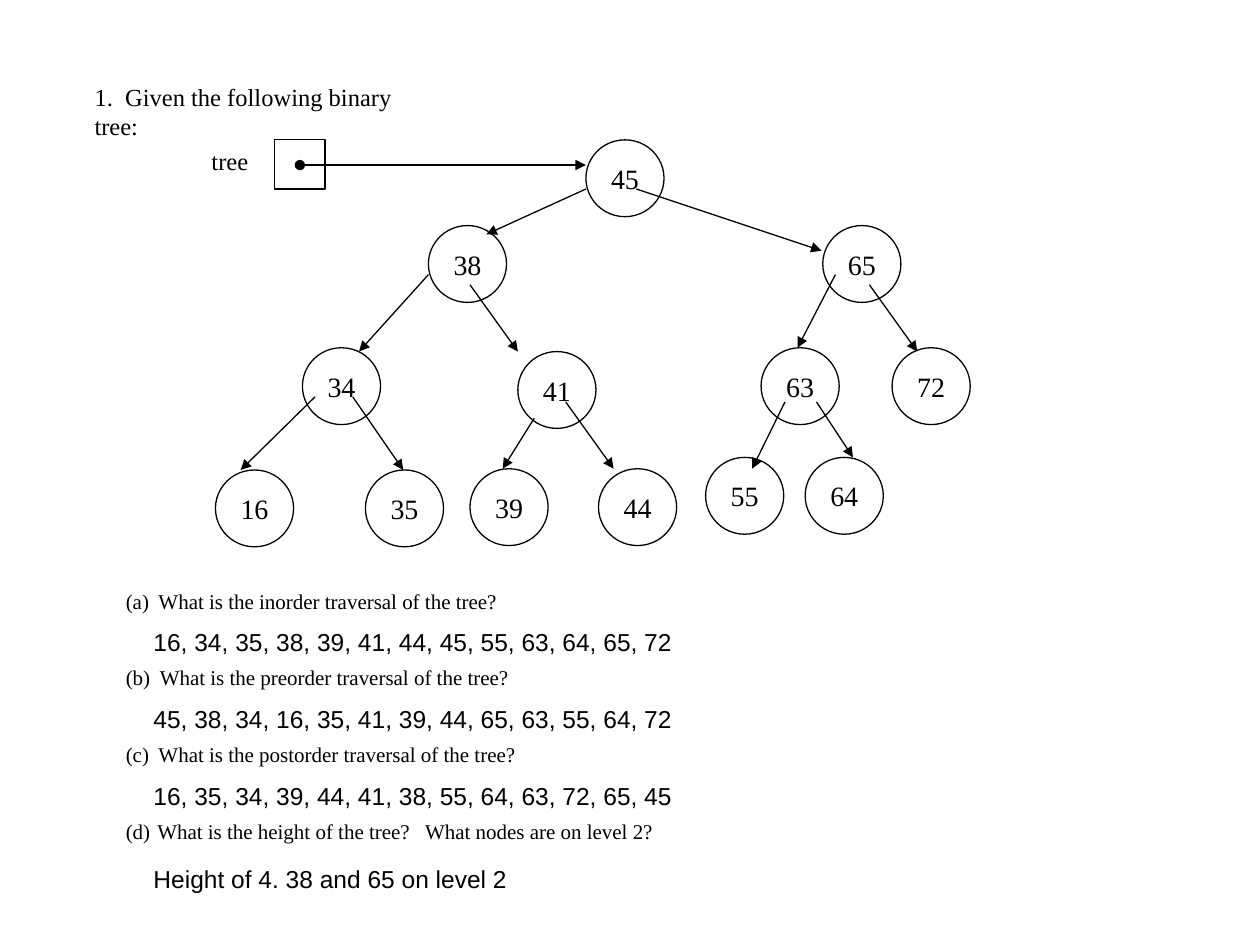
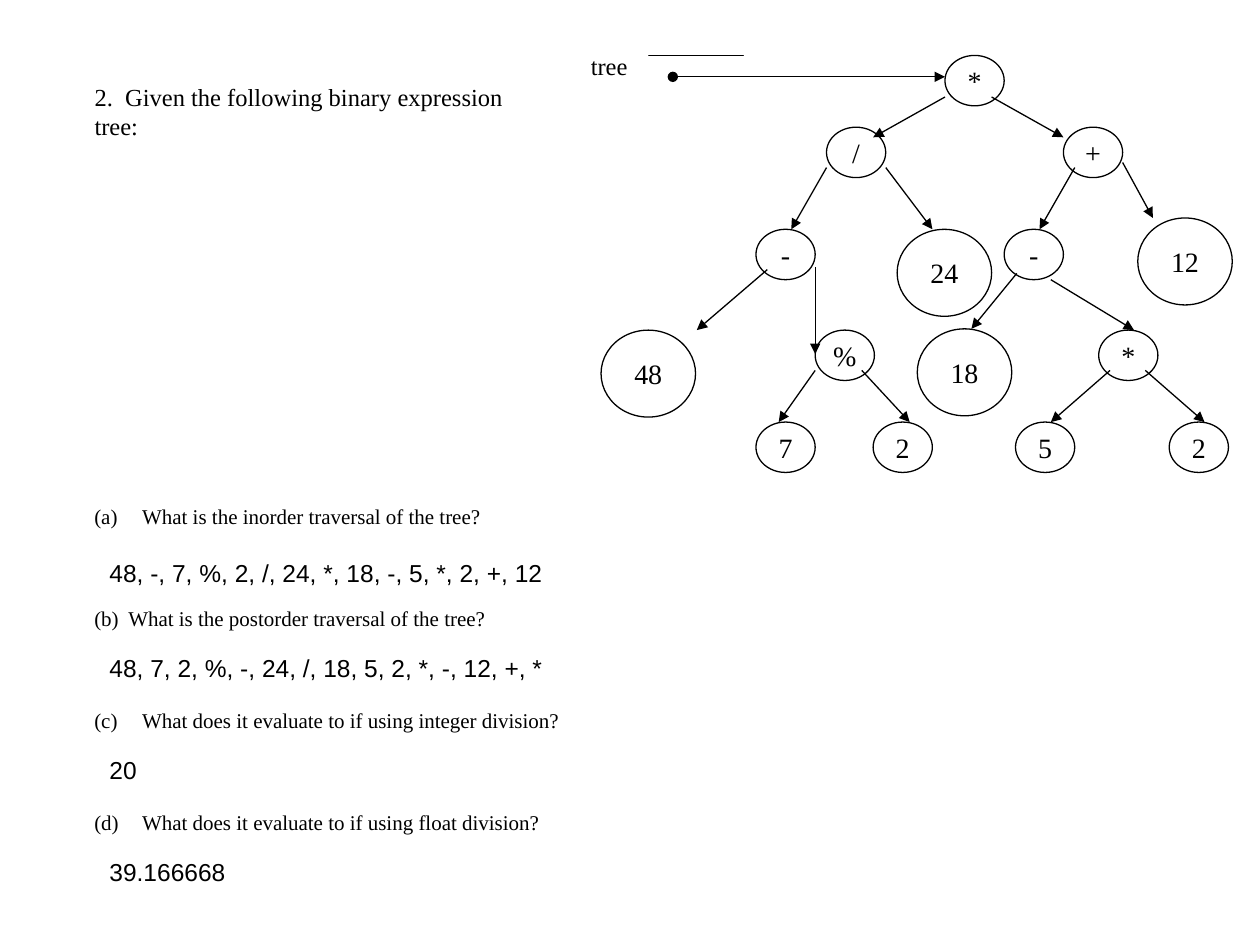
from lxml.etree import SubElement
from pptx import Presentation
from pptx.dml.color import RGBColor
from pptx.enum.shapes import MSO_CONNECTOR, MSO_SHAPE
from pptx.enum.text import MSO_ANCHOR, MSO_AUTO_SIZE, PP_ALIGN
from pptx.oxml.ns import qn
from pptx.util import Inches, Pt

BLACK = RGBColor(0, 0, 0)
SERIF = "Times New Roman"
SANS = "Arial"
WIDE, HIGH = Inches(10), Inches(7.5)
COLS, ROWS = 100, 75
PAD = 0.05

SEARCH = {
    "title": ("1.  Given the following binary tree:", 29.5),
    "tag": (15.8, 11.1),
    "box": (21.8, 11.1, 4, 3.9),
    "root": (23.8, 46.5, 13.1),
    "sizes": {2: (6.2, 6.1)},
    "nodes": [
        ("45", 46.5, 11.1),
        ("38", 34, 17.9), ("65", 65.3, 17.9),
        ("34", 24, 27.6), ("41", 41.1, 27.9), ("63", 60.4, 27.6), ("72", 70.8, 27.6),
        ("16", 17.1, 37.3), ("35", 29, 37.3), ("39", 37.3, 37.2), ("44", 47.5, 37.2),
        ("55", 56, 36.3), ("64", 63.9, 36.3),
    ],
    "edges": [
        (46.5, 15, 38.6, 18.6), (50.5, 15, 65.2, 19.9),
        (34, 21.8, 28.5, 27.9), (37.3, 22.6, 41.1, 27.9),
        (66.3, 21.8, 63.3, 27.6), (69, 22.6, 72.8, 27.9),
        (25, 31.5, 19.1, 37.3), (28, 31.5, 32, 37.3),
        (42.4, 33.2, 39.9, 37.2), (44.9, 31.9, 48.7, 37.2),
        (62.3, 31.9, 59.7, 37.2), (64.8, 31.9, 67.7, 36.3),
    ],
    "ask": (9, 46.2, 58.4, 29.4),
    "items": [
        ("What is the inorder traversal of the tree?", 0.26),
        ("What is the preorder traversal of the tree?", 0.27),
        ("What is the postorder traversal of the tree?", 0.26),
        ("What is the height of the tree?   What nodes are on level 2?", 0.25),
    ],
    "reply": (11.2, 84.7),
    "replies": [
        ("16, 34, 35, 38, 39, 41, 44, 45, 55, 63, 64, 65, 72", 48.8),
        ("45, 38, 34, 16, 35, 41, 39, 44, 65, 63, 55, 64, 72", 54.9),
        ("16, 35, 34, 39, 44, 41, 38, 55, 64, 63, 72, 65, 45", 61),
        ("Height of 4. 38 and 65 on level 2", 67.6),
    ],
}

MATH = {
    "title": ("2.  Given the following binary expression tree:", 38.3),
    "tag": (45.9, 3.6),
    "box": (51.5, 4.4, 7.5, 0),
    "root": (53.4, 75, 6.1),
    "sizes": {1: (4.7, 4), 2: (7.5, 6.9)},
    "nodes": [
        ("*", 75, 4.4),
        ("/", 65.6, 10.1), ("+", 84.4, 10.1),
        ("-", 60, 18.2), ("24", 71.2, 18.2), ("-", 79.7, 18.2), ("12", 90.3, 17.3),
        ("48", 47.7, 26.2), ("%", 64.7, 26.2), ("18", 72.8, 26.1), ("*", 87.2, 26.2),
        ("7", 60, 33.5), ("2", 69.3, 33.5), ("5", 80.6, 33.5), ("2", 92.8, 33.5),
    ],
    "edges": [
        (75, 7.7, 69.3, 10.9), (78.7, 7.7, 84.4, 10.9),
        (65.6, 13.3, 62.8, 18.2), (70.3, 13.3, 74, 18.2),
        (85.3, 13.3, 82.5, 18.2), (89.1, 12.9, 91.5, 17.3),
        (60.9, 21.4, 55.3, 26.2), (64.7, 21.2, 64.7, 28.1),
        (80.7, 21.7, 77.1, 26.1), (83.4, 22.2, 90, 26.2),
        (64.7, 29.4, 61.8, 33.5), (68.4, 29.4, 72.2, 33.5),
        (88.1, 29.4, 83.4, 33.5), (90.9, 29.4, 95.6, 33.5),
    ],
    "ask": (6.5, 39.5, 50.7, 43.8),
    "items": [
        ("What is the inorder traversal of the tree?", 0.38),
        ("What is the postorder traversal of the tree?", 0.27),
        ("What does it evaluate to if using integer division?", 0.38),
        ("What does it evaluate to if using float division?", 0.38),
    ],
    "reply": (7.7, 78.2),
    "replies": [
        ("48, -, 7, %, 2, /, 24, *, 18, -, 5, *, 2, +, 12", 43.3),
        ("48, 7, 2, %, -, 24, /, 18, 5, 2, *, -, 12, +, *", 50.8),
        ("20", 58.9),
        ("39.166668", 67),
    ],
}


def col(n):
    return round(WIDE * n / COLS)


def row(n):
    return round(HIGH * n / ROWS)


def area(x, y, w, h):
    return col(x), row(y), col(w), row(h)


def style(para, size, face=SERIF, align=PP_ALIGN.LEFT):
    para.alignment = align
    para.font.size = Pt(size)
    para.font.name = face
    para.font.color.rgb = BLACK


def frame(shape, pad=PAD):
    body = shape.text_frame
    body.word_wrap = True
    body.auto_size = MSO_AUTO_SIZE.NONE
    body.vertical_anchor = MSO_ANCHOR.TOP
    body.margin_left = body.margin_right = Inches(0.1)
    body.margin_top = body.margin_bottom = Inches(pad)
    return body


def add_title(slide, text, width):
    title = slide.shapes.title
    title.left, title.top, title.width, title.height = area(6.5, 6, width, 5.5)
    body = frame(title)
    body.text = text
    style(body.paragraphs[0], 14)


def add_text(slide, text, place, face=SERIF, pad=PAD):
    body = frame(slide.shapes.add_textbox(*area(*place)), pad)
    body.text = text
    style(body.paragraphs[0], 14, face)


def add_box(slide, kind, place):
    shape = slide.shapes.add_shape(kind, *area(*place))
    shape.shadow.inherit = False
    shape.fill.background()
    shape.line.color.rgb = BLACK
    shape.line.width = Pt(0.75)
    return shape


def add_node(slide, text, x, y, size):
    body = add_box(slide, MSO_SHAPE.OVAL, (x, y, *size)).text_frame
    body.text = text
    body.word_wrap = False
    body.vertical_anchor = MSO_ANCHOR.MIDDLE
    style(body.paragraphs[0], 16, align=PP_ALIGN.CENTER)


def add_arrow(slide, x1, y1, x2, y2, dot=False):
    line = slide.shapes.add_connector(
        MSO_CONNECTOR.STRAIGHT, col(x1), row(y1), col(x2), row(y2))
    line.line.color.rgb = BLACK
    line.line.width = Pt(0.75)
    stroke = line.line._get_or_add_ln()
    if dot:
        SubElement(stroke, qn("a:headEnd"), type="oval")
    SubElement(stroke, qn("a:tailEnd"), type="triangle")
    SubElement(line._element.spPr, qn("a:effectLst"))


def add_list(slide, items, x, y, width, gap):
    body = frame(slide.shapes.add_textbox(*area(x, y, width, 75 - y - 2)))
    for i, (text, indent) in enumerate(items):
        para = body.add_paragraph() if i else body.paragraphs[0]
        para.text = text
        style(para, 12)
        para.space_before = Pt(gap if i else 0)
        props = para._p.get_or_add_pPr()
        props.set("marL", str(Inches(indent)))
        props.set("indent", str(-Inches(indent)))
        SubElement(props, qn("a:buFont"), typeface=SERIF)
        SubElement(props, qn("a:buAutoNum"), type="alphaLcParenBoth")


def add_tree(slide, data):
    add_text(slide, "tree", (*data["tag"], 6.2, 3.3))
    add_box(slide, MSO_SHAPE.RECTANGLE, data["box"])
    start, end, y = data["root"]
    add_arrow(slide, start, y, end, y, dot=True)
    for text, x, y in data["nodes"]:
        add_node(slide, text, x, y, data["sizes"][len(text)])
    for edge in data["edges"]:
        add_arrow(slide, *edge)


def add_page(deck, data):
    slide = deck.slides.add_slide(deck.slide_layouts[5])
    add_title(slide, *data["title"])
    add_list(slide, data["items"], *data["ask"])
    add_tree(slide, data)
    x, width = data["reply"]
    for text, y in data["replies"]:
        add_text(slide, text, (x, y, width, 4.4), SANS, 0.1)


def main():
    deck = Presentation()
    deck.slide_width, deck.slide_height = WIDE, HIGH
    for data in (SEARCH, MATH):
        add_page(deck, data)
    deck.save("out.pptx")


main()
